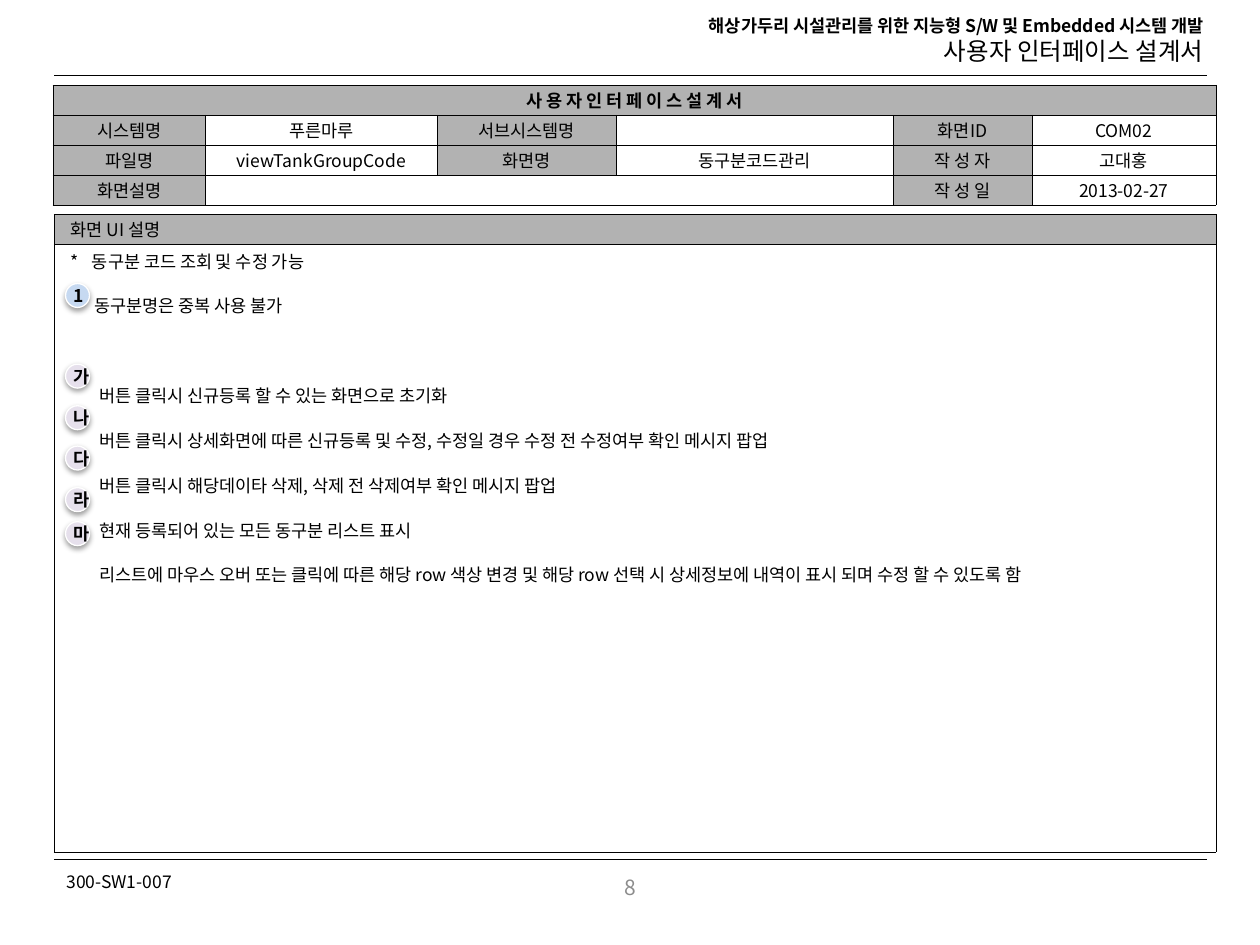
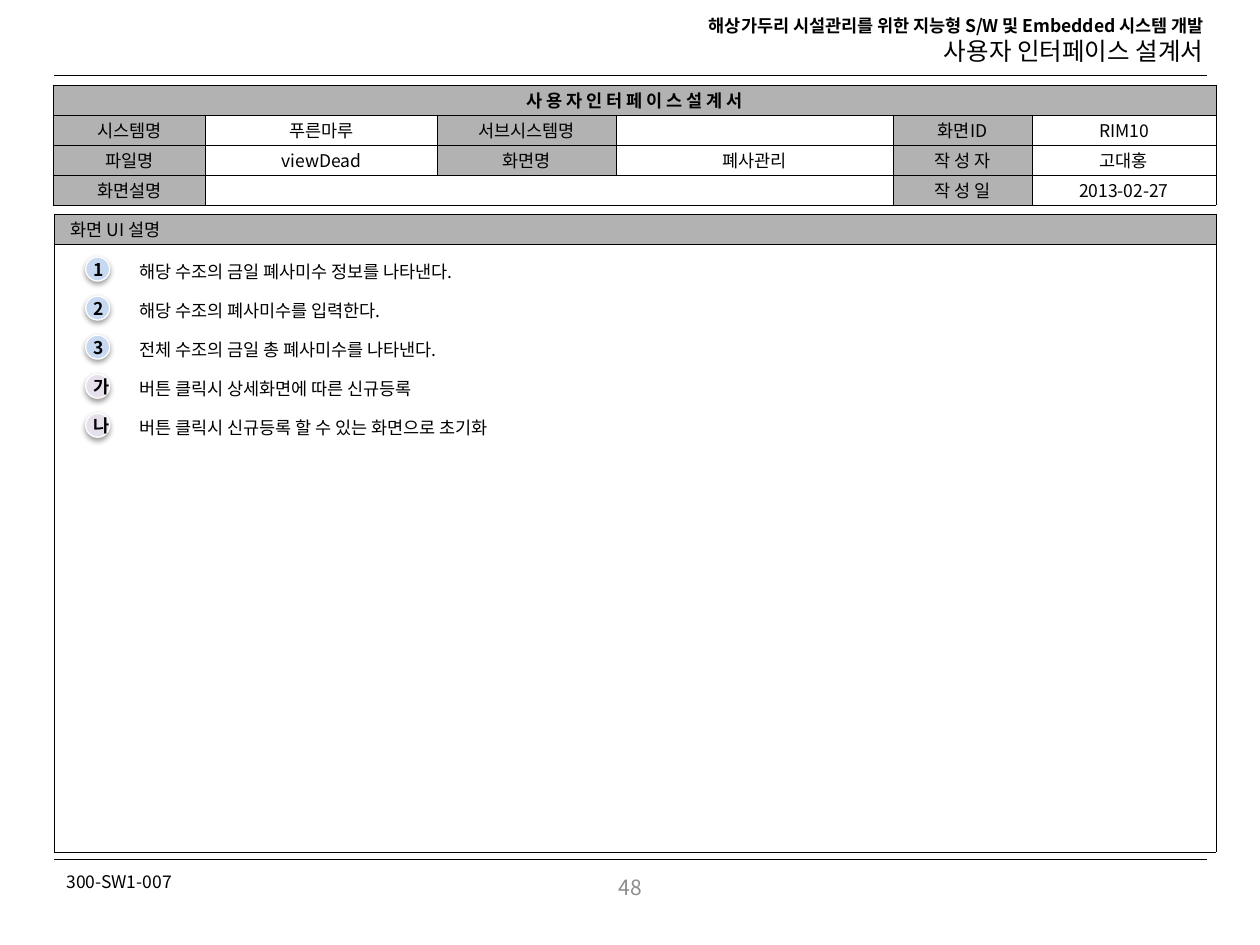
from dataclasses import dataclass

from lxml.etree import SubElement
from pptx import Presentation
from pptx.dml.color import RGBColor
from pptx.enum.shapes import MSO_CONNECTOR, MSO_SHAPE
from pptx.enum.text import MSO_ANCHOR, PP_ALIGN
from pptx.oxml.ns import qn
from pptx.util import Inches, Pt

LEFT, MID, RIGHT = PP_ALIGN.LEFT, PP_ALIGN.CENTER, PP_ALIGN.RIGHT
TOP, HALF = MSO_ANCHOR.TOP, MSO_ANCHOR.MIDDLE
OVAL, LINE = MSO_SHAPE.OVAL, MSO_CONNECTOR.STRAIGHT
COLS, ROWS = 100, 75


@dataclass(frozen=True)
class Theme:
    font: str = "Noto Sans CJK KR"
    ink: str = "000000"
    paper: str = "FFFFFF"
    band: str = "B2B2B2"
    mute: str = "8C8C8C"
    blue: str = "C6D9F1"
    lilac: str = "E6E0EC"
    base: int = 10
    page: int = 12
    head: int = 14
    hair: float = 0.25
    rim: float = 0.75


def grid(*units):
    return [Inches(unit / 10) for unit in units]


def color(code):
    return RGBColor.from_string(code)


class Deck:
    def __init__(self, theme):
        self.theme = theme
        self.file = Presentation()
        self.file.slide_width, self.file.slide_height = grid(COLS, ROWS)
        self.slide = None

    def start(self):
        self.slide = self.file.slides.add_slide(self.file.slide_layouts[6])

    def style(self, para, size=None, bold=False, ink=None, align=LEFT):
        para.alignment = align
        size = size or self.theme.base
        for run in para.runs:
            font = run.font
            font.size, font.bold, font.name = Pt(size), bold, self.theme.font
            font.color.rgb = color(ink or self.theme.ink)
            SubElement(font._element, qn("a:ea"), typeface=self.theme.font)
        if not para.runs:
            SubElement(para._p, qn("a:endParaRPr"), sz=str(size * 100))

    def text(self, spot, words, anchor=TOP, **look):
        frame = self.slide.shapes.add_textbox(*grid(*spot)).text_frame
        frame.word_wrap = True
        frame.vertical_anchor = anchor
        frame.text = words
        self.style(frame.paragraphs[0], **look)
        return frame

    def rule(self, row):
        line = self.slide.shapes.add_connector(LINE, *grid(4.3, row, 95.8, row))
        line.line.color.rgb = color(self.theme.ink)
        line.line.width = Pt(self.theme.hair)
        SubElement(line._element.spPr, qn("a:effectLst"))

    def mark(self, col, row, sign):
        disc = self.slide.shapes.add_shape(OVAL, *grid(col, row, 1.9, 1.9))
        disc.fill.solid()
        tint = self.theme.blue if sign.isdigit() else self.theme.lilac
        disc.fill.fore_color.rgb = color(tint)
        disc.line.color.rgb = color(self.theme.paper)
        disc.line.width = Pt(self.theme.rim)
        disc.shadow.inherit = False
        glow = SubElement(disc._element.spPr.find(qn("a:effectLst")), qn("a:outerShdw"),
                          blurRad="40000", dist="20000", dir="5400000", rotWithShape="0")
        shade = SubElement(glow, qn("a:srgbClr"), val=self.theme.ink)
        SubElement(shade, qn("a:alpha"), val="38000")
        disc.text_frame.text = sign
        disc.text_frame.vertical_anchor = HALF
        self.style(disc.text_frame.paragraphs[0], bold=True, align=MID)

    def table(self, col, row, wides, highs):
        spot = grid(col, row, sum(wides), sum(highs))
        table = self.slide.shapes.add_table(len(highs), len(wides), *spot).table
        for part, wide in zip(table.columns, grid(*wides)):
            part.width = wide
        for part, high in zip(table.rows, grid(*highs)):
            part.height = high
        return table

    def cell(self, cell, words, fill, side=1.3, **look):
        cell.text = words
        cell.margin_left = cell.margin_right = grid(side)[0]
        cell.margin_top = cell.margin_bottom = 0
        cell.vertical_anchor = HALF
        self.style(cell.text_frame.paragraphs[0], **look)
        for edge in ("lnL", "lnR", "lnT", "lnB"):
            line = SubElement(cell._tc.get_or_add_tcPr(), qn("a:" + edge),
                              w=str(Pt(self.theme.hair)))
            paint = SubElement(line, qn("a:solidFill"))
            SubElement(paint, qn("a:srgbClr"), val=self.theme.ink)
        cell.fill.solid()
        cell.fill.fore_color.rgb = color(fill)

    def frame(self, page):
        title = self.text((47.7, 0.7, 48.8, 5.1),
                          "해상가두리 시설관리를 위한 지능형 S/W 및 Embedded 시스템 개발",
                          bold=True, align=RIGHT)
        para = title.add_paragraph()
        para.text = "사용자 인터페이스 설계서"
        self.style(para, size=self.theme.head, align=RIGHT)
        self.rule(6)
        self.text((4.3, 68.6, 20, 2.7), "300-SW1-007")
        self.rule(68.2)
        self.text((4.3, 68.4, 91.5, 4), page, anchor=HALF,
                  size=self.theme.page, ink=self.theme.mute, align=MID)

    def facts(self, code, file, name):
        rows = [
            ("사 용 자 인 터 페 이 스 설 계 서", "", "", "", "", ""),
            ("시스템명", "푸른마루", "서브시스템명", "", "화면ID", code),
            ("파일명", file, "화면명", name, "작 성 자", "고대홍"),
            ("화면설명", "", "", "", "작 성 일", "2013-02-27"),
        ]
        table = self.table(4.2, 6.75, (12.1, 18.4, 14.2, 22, 11, 14.6), [2.38] * 4)
        for y, row in enumerate(rows):
            for x, words in enumerate(row):
                label = y == 0 or x % 2 == 0 and words
                fill = self.theme.band if label else self.theme.paper
                self.cell(table.cell(y, x), words, fill, side=0.2, bold=y == 0, align=MID)
        table.cell(0, 0).merge(table.cell(0, 5))
        table.cell(3, 1).merge(table.cell(3, 3))

    def panel(self):
        table = self.table(4.3, 17, [92.2], (2.38, 48.25))
        self.cell(table.cell(0, 0), "화면 UI 설명", self.theme.band)
        return table.cell(1, 0)

    def notes(self, cell, notes):
        self.cell(cell, "", self.theme.paper)
        cell.vertical_anchor = TOP
        cell.margin_top = cell.margin_bottom = grid(0.3)[0]
        if not notes:
            return
        frame = cell.text_frame
        frame.text = "\n".join(words for words, dent, gap in notes)
        for para, (words, dent, gap) in zip(frame.paragraphs, notes):
            self.style(para)
            para.space_before, para.space_after = Pt(gap), Pt(3)
            props = para._p.get_or_add_pPr()
            props.set("marL", str(grid(dent)[0]))
            props.set("indent", "0")
        for para in frame.paragraphs[1:]:
            para.line_spacing = 1.5
        props = frame.paragraphs[0]._p.get_or_add_pPr()
        props.set("indent", str(-grid(notes[0][1])[0]))
        SubElement(props, qn("a:buFont"), typeface=self.theme.font)
        SubElement(props, qn("a:buChar"), char="*")

    def sheet(self, page, facts, notes=()):
        self.start()
        self.frame(page)
        self.facts(*facts)
        self.notes(self.panel(), notes)


def main():
    deck = Deck(Theme())

    deck.sheet("8", ("COM02", "viewTankGroupCode", "동구분코드관리"), [
        ("동구분 코드 조회 및 수정 가능", 1.7, 1),
        ("동구분명은 중복 사용 불가", 1.9, 1),
        ("버튼 클릭시 신규등록 할 수 있는 화면으로 초기화", 2.3, 26.7),
        ("버튼 클릭시 상세화면에 따른 신규등록 및 수정, 수정일 경우 수정 전 수정여부 확인 메시지 팝업", 2.3, 1),
        ("버튼 클릭시 해당데이타 삭제, 삭제 전 삭제여부 확인 메시지 팝업", 2.3, 1),
        ("현재 등록되어 있는 모든 동구분 리스트 표시", 2.3, 1),
        ("리스트에 마우스 오버 또는 클릭에 따른 해당 row 색상 변경 및 해당 row 선택 시 "
         "상세정보에 내역이 표시 되며 수정 할 수 있도록 함", 2.3, 1),
    ])
    for sign, row in zip("1가나다라마", (22.5, 28.9, 32.2, 35.4, 38.7, 41.4)):
        deck.mark(5.2, row, sign)

    deck.sheet("48", ("RIM10", "viewDead", "폐사관리"))
    items = [
        ("1", "해당 수조의 금일 폐사미수 정보를 나타낸다."),
        ("2", "해당 수조의 폐사미수를 입력한다."),
        ("3", "전체 수조의 금일 총 폐사미수를 나타낸다."),
        ("가", "버튼 클릭시 상세화면에 따른 신규등록"),
        ("나", "버튼 클릭시 신규등록 할 수 있는 화면으로 초기화"),
    ]
    for step, (sign, words) in enumerate(items):
        row = 20.4 + 3.1 * step
        deck.mark(6.8, row, sign)
        deck.text((10.1, row - 0.2, 40, 2.7), words)

    deck.file.save("out.pptx")


if __name__ == "__main__":
    main()
